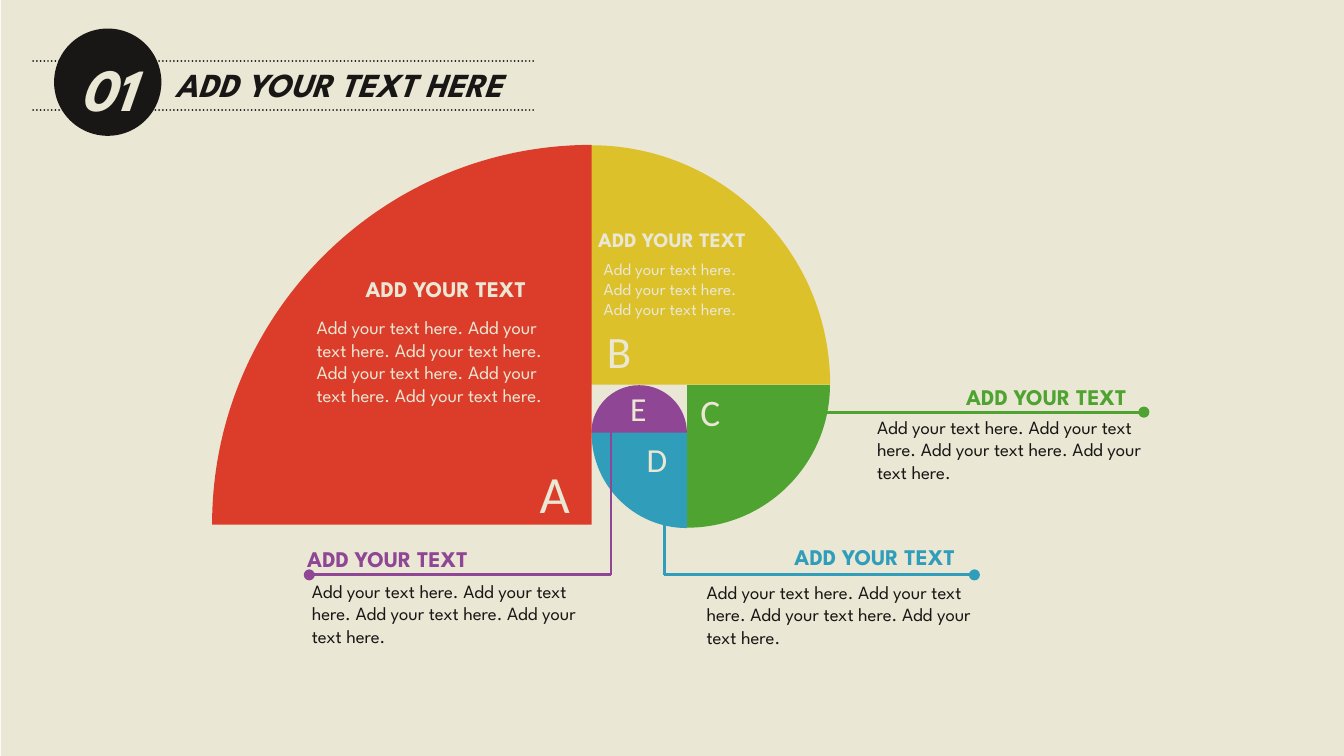
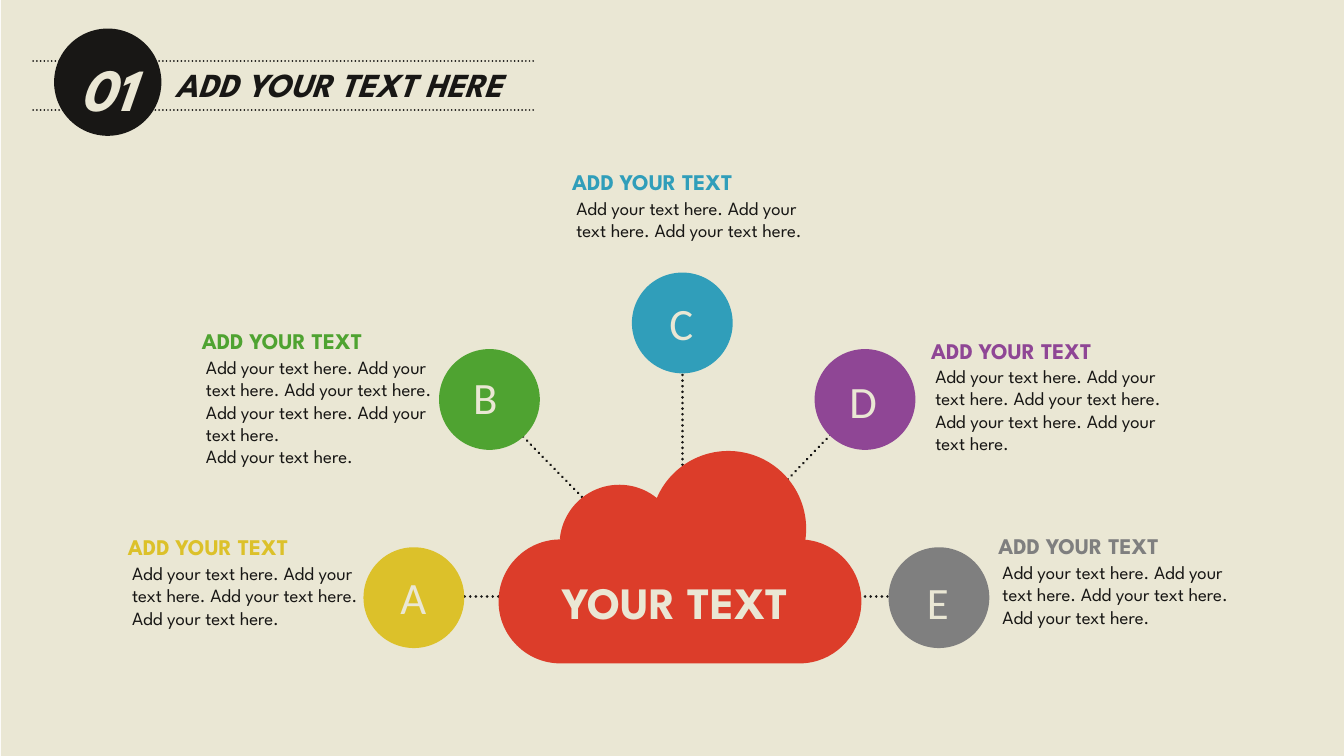
from math import ceil, cos, radians, sin, tan

from lxml.etree import SubElement
from pptx import Presentation
from pptx.dml.color import RGBColor
from pptx.enum.dml import MSO_LINE
from pptx.enum.shapes import MSO_CONNECTOR, MSO_SHAPE
from pptx.enum.text import MSO_ANCHOR, MSO_AUTO_SIZE, PP_ALIGN
from pptx.oxml.ns import qn
from pptx.util import Pt

CREAM = RGBColor(0xEA, 0xE7, 0xD4)
INK = RGBColor(0x18, 0x17, 0x15)
RED = RGBColor(0xDC, 0x3D, 0x2A)
YELLOW = RGBColor(0xDC, 0xC1, 0x2A)
GREEN = RGBColor(0x4F, 0xA3, 0x31)
BLUE = RGBColor(0x30, 0x9E, 0xBA)
PURPLE = RGBColor(0x8F, 0x46, 0x95)
GREY = RGBColor(0x7F, 0x7F, 0x7F)

DISPLAY, LETTER = "League Spartan", "Calibri"
HEADING = "ADD YOUR TEXT"
SENTENCE = "Add your text here."

# Shared header
TITLE, NUMBER = "ADD YOUR TEXT HERE", "01"
RULES_Y = (32.5, 59)

# Spiral: letter, colour, centre x, centre y, radius, sweep, turn,
# then letter size and letter box
SPIRAL = [
    ("E", PURPLE, 342.4, 232, 25.6, 180, 90, 18, (330.5, 204.3, 24.5, 29)),
    ("D", BLUE, 368, 231.8, 51.1, 90, 270, 18, (339.3, 231.7, 27.5, 29)),
    ("C", GREEN, 368.1, 206.2, 76.5, 90, 180, 20, (368.1, 205, 26.5, 31.5)),
    ("B", YELLOW, 316.5, 206, 128.2, 90, 90, 24, (318, 170, 29.5, 36)),
    ("A", RED, 317, 281, 203.4, 90, 0, 28, (282, 243.5, 32.5, 41)),
]
# Leaders: colour, corner points
LEADERS = [
    (PURPLE, [(327.4, 226), (327.4, 308), (165.7, 308)]),
    (BLUE, [(355.8, 269.5), (355.8, 308), (522, 308)]),
    (GREEN, [(421, 220.8), (612.8, 220.8)]),
]
# Callouts: heading colour, heading size and box, body colour, size and box, sentences
SPIRAL_CALLOUTS = [
    (CREAM, 12, (188.8, 144, 109.5, 21.5), CREAM, 10, (162.5, 165.8, 142.5, 67.5), 6),
    (CREAM, 11, (313.4, 118.3, 101.5, 20.5), CREAM, 9, (316.3, 134.8, 96.5, 39.5), 3),
    (PURPLE, 12, (157.5, 288.3, 109.5, 21.5), INK, 10, (160, 306.9, 164, 43), 4),
    (BLUE, 12, (418.5, 287.5, 109.5, 21.5), INK, 10, (371.5, 307.5, 163.5, 43), 4),
    (GREEN, 12, (510.5, 201.5, 109.5, 21.5), INK, 10, (462.8, 219.2, 164, 43), 4),
]

# Cloud: box, then centre x, centre y, radius, start angle and sweep of each bump
CLOUD_TEXT = "YOUR TEXT"
CLOUD_BOX = (267.1, 241.6, 194.4, 113.8)
CLOUD = [
    (390.2, 283.3, 41.7, 203, 165),
    (428.3, 322.2, 33.2, 275, 175),
    (300.3, 322.2, 33.2, 90, 180),
    (331.8, 291.7, 32, 186, 123),
]
# Topics: letter, colour, bubble corner, letter box, link ends, heading corner,
# body height, sentences per paragraph
BUBBLE = 54
TOPICS = [
    ("A", YELLOW, (194.7, 293.2), (207.4, 301.5, 29.5, 36),
     (282, 319.8, 229, 319.8), (61.4, 282.3), 55.5, [4]),
    ("B", GREEN, (235.2, 187), (246.4, 194.5, 29.5, 36),
     (316, 270.5, 270.5, 224), (101, 171.9), 67.5, [5, 1]),
    ("C", BLUE, (338.5, 146), (351.5, 155, 29.5, 36),
     (365.7, 264, 365.7, 189.5), (299.4, 86.8), 43, [3]),
    ("D", PURPLE, (436.4, 187), (448, 196.5, 31.5, 36),
     (407.5, 272, 453, 224.5), (491.7, 176.9), 55.5, [5]),
    ("E", GREY, (476, 293.2), (489.5, 304.5, 27.5, 36),
     (502.5, 319.8, 449.5, 319.8), (527.7, 281.8), 55.5, [4]),
]


def points(values):
    return [Pt(value) for value in values]


def paint(shape, colour):
    shape.shadow.inherit = False
    shape.fill.solid()
    shape.fill.fore_color.rgb = colour
    shape.line.fill.background()


def add_preset(slide, kind, box, colour):
    paint(slide.shapes.add_shape(kind, *points(box)), colour)


def arc(x, y, radius, start, sweep):
    """Return an arc as a line to its start, then Bézier curves of 90° at most."""
    count = ceil(sweep / 90)
    step = radians(sweep / count)
    reach = 4 / 3 * tan(step / 4)

    def spot(angle, pull=0):
        return (x + radius * (cos(angle) - pull * sin(angle)),
                y + radius * (sin(angle) + pull * cos(angle)))

    angles = [radians(start) + step * i for i in range(count + 1)]
    curves = [("cubicBezTo", [spot(a, reach), spot(b, -reach), spot(b)])
              for a, b in zip(angles, angles[1:])]
    return [("lnTo", [spot(angles[0])])] + curves


def add_outline(slide, box, segments, colour):
    """Draw a freeform whose segments lie inside the given box."""
    ends = [tuple(points(spots[-1])) for _, spots in segments]
    builder = slide.shapes.build_freeform(*ends[0])
    builder.add_line_segments(ends[1:], close=True)
    shape = builder.convert_to_shape()
    left, top, width, height = points(box)
    shape.left, shape.top, shape.width, shape.height = left, top, width, height
    paint(shape, colour)

    # Bend the straight sides into curves
    outline = next(shape._element.iter(qn("a:path")))
    for side in list(outline):
        outline.remove(side)
    outline.set("w", str(width))
    outline.set("h", str(height))
    for i, (kind, spots) in enumerate(segments):
        side = SubElement(outline, qn(f"a:{kind if i else 'moveTo'}"))
        for x, y in spots:
            SubElement(side, qn("a:pt"), x=str(Pt(x) - left), y=str(Pt(y) - top))
    SubElement(outline, qn("a:close"))
    return shape


def add_line(slide, ends, colour, width, dotted=False, dot_end=False):
    line = slide.shapes.add_connector(MSO_CONNECTOR.STRAIGHT, *points(ends))
    line.line.color.rgb = colour
    line.line.width = Pt(width)
    if dotted:
        line.line.dash_style = MSO_LINE.ROUND_DOT
        line.line._get_or_add_ln().set("cap", "rnd")
    if dot_end:
        SubElement(line.line._get_or_add_ln(), qn("a:tailEnd"), type="oval")
    SubElement(line._element.spPr, qn("a:effectLst"))


def write(frame, paragraphs, size, colour, wrap=False, **styles):
    frame.word_wrap = wrap
    frame.vertical_anchor = MSO_ANCHOR.TOP
    frame.auto_size = MSO_AUTO_SIZE.SHAPE_TO_FIT_TEXT
    formats = {"name": DISPLAY, "size": Pt(size), "bold": False, **styles}
    for i, words in enumerate(paragraphs):
        paragraph = frame.add_paragraph() if i else frame.paragraphs[0]
        paragraph.alignment = PP_ALIGN.LEFT
        run = paragraph.add_run()
        run.text = words
        for key, value in formats.items():
            setattr(run.font, key, value)
        run.font.color.rgb = colour


def add_text(slide, box, paragraphs, size, colour, **styles):
    frame = slide.shapes.add_textbox(*points(box)).text_frame
    write(frame, paragraphs, size, colour, **styles)


def add_body(slide, box, counts, size, colour):
    paragraphs = [" ".join([SENTENCE] * count) for count in counts]
    add_text(slide, box, paragraphs, size, colour, wrap=True)


def start_slide(deck):
    """Add a slide with the shared background and numbered title."""
    slide = deck.slides.add_slide(deck.slide_layouts[5])
    add_preset(slide, MSO_SHAPE.RECTANGLE, (0.5, 0, 719.5, 406), CREAM)
    for y in RULES_Y:
        add_line(slide, (17.8, y, 286.2, y), INK, 1, dotted=True)
    add_preset(slide, MSO_SHAPE.OVAL, (29, 15.3, 57.5, 57.5), INK)

    title = slide.shapes.title
    title.left, title.top, title.width, title.height = points((86.5, 30.7, 193.5, 29))
    write(title.text_frame, [TITLE], 18, INK, bold=True, italic=True)
    slide.shapes._spTree.append(title._element)  # bring in front of the background
    add_text(slide, (35.3, 24.3, 49.5, 46), [NUMBER], 32, CREAM, bold=True, italic=True)
    return slide


def build_spiral(deck):
    slide = start_slide(deck)
    # Each sector ends at the top of its circle and is then turned into place
    for _, colour, x, y, radius, sweep, turn, _, _ in SPIRAL:
        box = (x - radius, y - radius, 2 * radius, 2 * radius)
        sides = arc(x, y, radius, 270 - sweep, sweep) + [("lnTo", [(x, y)])]
        add_outline(slide, box, sides, colour).rotation = turn
    for letter, *_, size, box in reversed(SPIRAL):
        add_text(slide, box, [letter], size, CREAM, name=LETTER)

    # Leaders end in a dot
    for colour, corners in LEADERS:
        for begin, end in zip(corners, corners[1:]):
            add_line(slide, begin + end, colour, 1.5, dot_end=end == corners[-1])

    for colour, size, box, body_colour, body_size, body_box, count in SPIRAL_CALLOUTS:
        add_text(slide, box, [HEADING], size, colour, bold=True)
        add_body(slide, body_box, [count], body_size, body_colour)


def build_cloud(deck):
    slide = start_slide(deck)
    # Links lie behind the cloud and the bubbles
    for _, _, _, _, link, *_ in TOPICS:
        add_line(slide, link, INK, 1.5, dotted=True)
    bumps = [side for bump in CLOUD for side in arc(*bump)]
    add_outline(slide, CLOUD_BOX, bumps, RED)
    add_text(slide, (294.5, 304.2, 145.5, 36), [CLOUD_TEXT], 24, CREAM, bold=True)

    for letter, colour, corner, letter_box, _, (x, y), height, counts in TOPICS:
        add_preset(slide, MSO_SHAPE.OVAL, (*corner, BUBBLE, BUBBLE), colour)
        add_text(slide, letter_box, [letter], 24, CREAM, name=LETTER)
        add_text(slide, (x, y, 109.5, 21.5), [HEADING], 12, colour, bold=True)
        add_body(slide, (x + 2.3, y + 15, 144, height), counts, 10, INK)


def main():
    deck = Presentation()
    deck.slide_width, deck.slide_height = Pt(720), Pt(405)
    build_spiral(deck)
    build_cloud(deck)
    deck.save("out.pptx")


if __name__ == "__main__":
    main()
